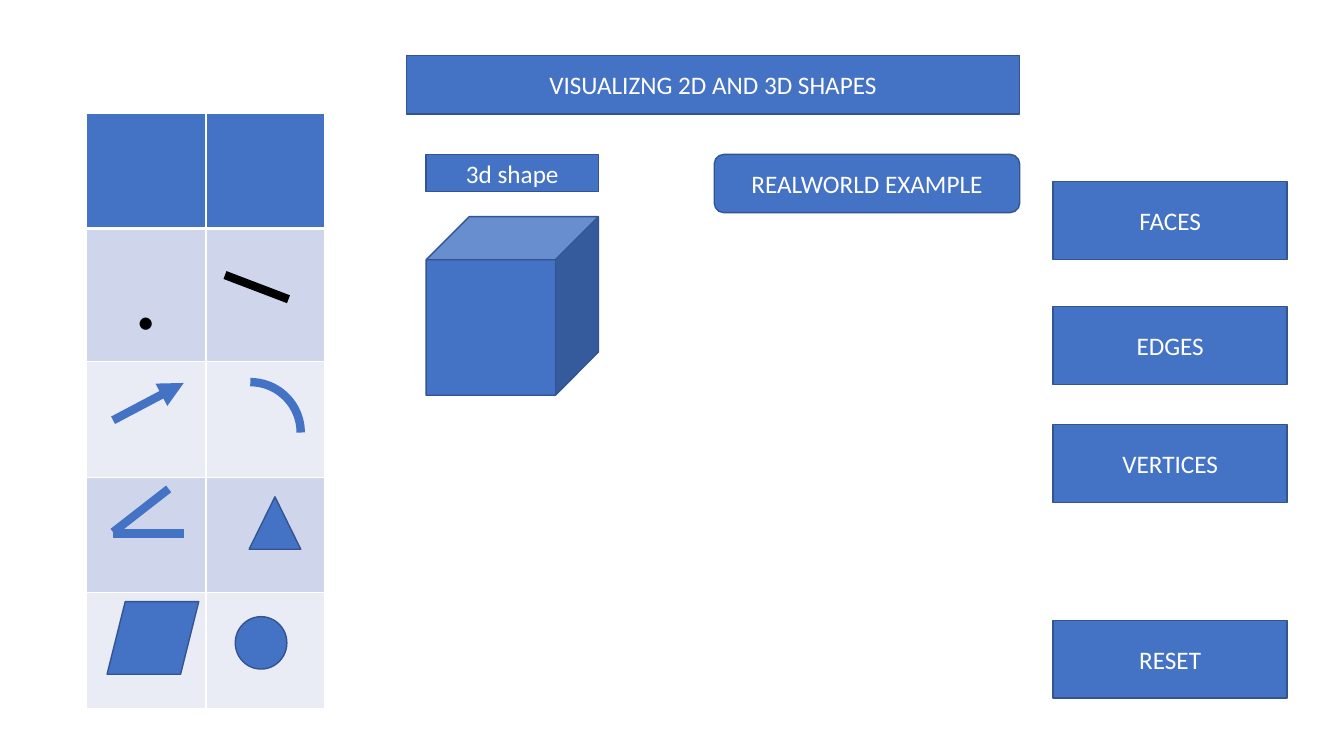
from lxml.etree import SubElement as Sub
from pptx import Presentation
from pptx.dml.color import RGBColor
from pptx.enum.shapes import MSO_CONNECTOR as Link, MSO_SHAPE as Kind
from pptx.enum.text import MSO_ANCHOR as Anchor, PP_ALIGN as Align
from pptx.oxml.ns import qn
from pptx.util import Cm, Pt

BLUE = RGBColor(0x44, 0x72, 0xC4)
EDGE = RGBColor(0x32, 0x54, 0x91)
BAND = RGBColor(0xCF, 0xD5, 0xEA)
PALE = RGBColor(0xE9, 0xEB, 0xF5)
WHITE = RGBColor(0xFF, 0xFF, 0xFF)
BLACK = RGBColor(0, 0, 0)


def write(frame, text, size, color):
    """Put one centred line of text in a frame."""
    para = frame.paragraphs[0]
    para.alignment = Align.CENTER
    run = para.add_run()
    run.text = text
    for name, value in {"name": "Calibri", "size": Pt(size)}.items():
        setattr(run.font, name, value)
    run.font.color.rgb = color


def block(slide, kind, left, top, width, height, text=""):
    """Add a filled blue shape with an optional label."""
    shape = slide.shapes.add_shape(kind, Cm(left), Cm(top), Cm(width), Cm(height))
    shape.shadow.inherit = False
    shape.fill.solid()
    shape.fill.fore_color.rgb = BLUE
    shape.line.color.rgb = EDGE
    shape.line.width = Pt(1)
    if text:
        shape.text_frame.vertical_anchor = Anchor.MIDDLE
        write(shape.text_frame, text, 18, WHITE)
    return shape


def stroke(slide, start, end, color=BLUE, arrow=False):
    """Add a thick straight line, with an arrowhead if asked."""
    line = slide.shapes.add_connector(Link.STRAIGHT, *map(Cm, start + end))
    line.line.color.rgb = color
    line.line.width = Pt(6)
    if arrow:
        Sub(line.line._ln, qn("a:tailEnd"), type="triangle")
    Sub(line._element.spPr, qn("a:effectLst"))


def border(cell, low):
    """Draw white borders on a cell, the bottom one low points wide."""
    props = cell._tc.get_or_add_tcPr()
    for side, width in {"L": 1, "R": 1, "T": 1, "B": low}.items():
        line = Sub(props, qn("a:ln" + side), w=str(Pt(width)))
        fill = Sub(line, qn("a:solidFill"))
        Sub(fill, qn("a:srgbClr"), val=str(WHITE))


def grid(slide, left, top, width, height):
    """Add the banded table that holds the flat figures."""
    fills = [BLUE, BAND, PALE, BAND, PALE]
    table = slide.shapes.add_table(
        len(fills), 2, Cm(left), Cm(top), Cm(width), Cm(height)).table
    for row, color in enumerate(fills):
        for cell in table.rows[row].cells:
            border(cell, 1 if row else 3)
            cell.fill.solid()
            cell.fill.fore_color.rgb = color
    dot = table.cell(1, 0)
    dot.vertical_anchor = Anchor.MIDDLE
    write(dot.text_frame, ".", 72, BLACK)


def flat(slide, left, top, width, height):
    """Place the table and the figures drawn over its cells."""
    grid(slide, left, top, width, height)
    rays = [((3.48, 4.08), (5.08, 4.69), BLACK, False),
            ((0.66, 7.74), (2.44, 6.8), BLUE, True),
            ((2.06, 9.47), (0.66, 10.56), BLUE, False),
            ((0.66, 10.59), (2.44, 10.59), BLUE, False)]
    for start, end, color, arrow in rays:
        ends = [(left + x, top + y) for x, y in (start, end)]
        stroke(slide, *ends, color, arrow)
    arc = block(slide, Kind.ARC, left + 2.85, top + 6.78, 2.54, 2.54)
    arc.fill.background()
    arc.line.color.rgb = BLUE
    arc.line.width = Pt(6)
    forms = [(Kind.ISOSCELES_TRIANGLE, 4.09, 9.67, 1.3, 1.32),
             (Kind.PARALLELOGRAM, 0.51, 12.31, 2.31, 1.83),
             (Kind.OVAL, 3.74, 12.69, 1.3, 1.32)]
    for kind, x, y, wide, high in forms:
        block(slide, kind, left + x, top + y, wide, high)


def solid(slide, left, top, width, height):
    """Place the 3D label with the cube below it."""
    block(slide, Kind.RECTANGLE, left, top, width, 0.94, "3d shape")
    block(slide, Kind.CUBE, left, top + 1.57, width, height - 1.57)


def head(slide, left, top, width, height):
    """Place the title bar and the example button under its right end."""
    block(slide, Kind.RECTANGLE, left, top, width, height,
          "VISUALIZNG 2D AND 3D SHAPES")
    block(slide, Kind.ROUNDED_RECTANGLE, left + width - 7.7, top + 2.49, 7.7, height,
          "REALWORLD EXAMPLE")


def menu(slide, left, top, width, height):
    """Stack the four buttons, each of the given size."""
    drops = {"FACES": 0, "EDGES": 3.15, "VERTICES": 6.12, "RESET": 11.05}
    for text, drop in drops.items():
        block(slide, Kind.RECTANGLE, left, top + drop, width, height, text)


def main():
    """Build the slide and save it."""
    deck = Presentation()
    size = {"slide_width": Cm(33.87), "slide_height": Cm(19.05)}
    for name, value in size.items():
        setattr(deck, name, value)
    slide = deck.slides.add_slide(deck.slide_layouts[6])
    flat(slide, 2.19, 2.85, 6, 14.55)
    menu(slide, 26.54, 4.58, 5.9, 1.96)
    solid(slide, 10.74, 3.89, 4.34, 6.07)
    head(slide, 10.24, 1.4, 15.46, 1.47)
    deck.save("out.pptx")


main()
